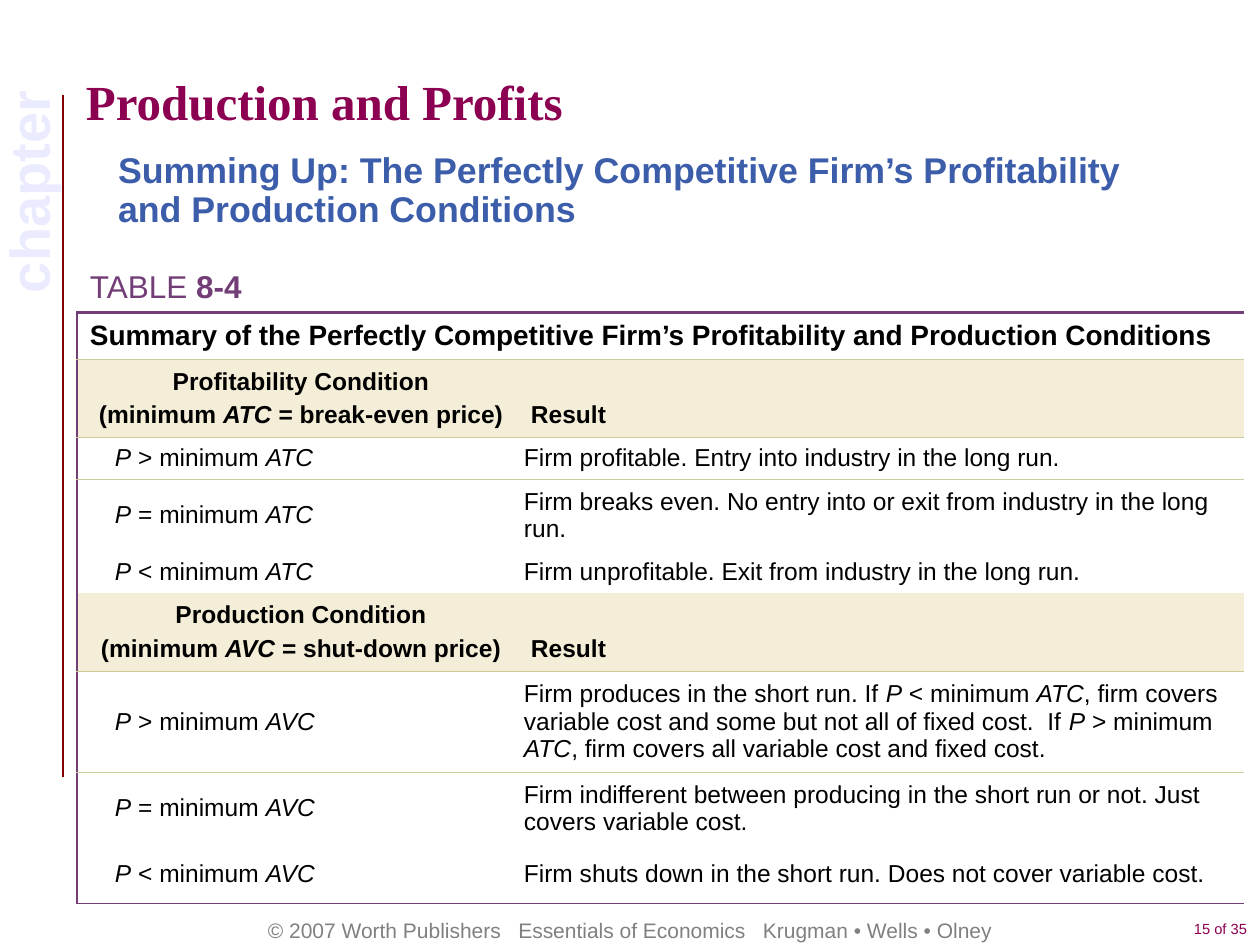
"""Build the slide on production and profits with its summary table."""
from lxml import etree
from pptx import Presentation
from pptx import util as u
from pptx.dml.color import RGBColor
from pptx.enum import shapes, text
from pptx.oxml import ns

MAROON = RGBColor(0x80, 0x00, 0x00)
WINE = RGBColor(0x8C, 0x00, 0x51)
BLUE = RGBColor(0x3C, 0x5D, 0xAA)
PURPLE = RGBColor(0x73, 0x3D, 0x77)
LILAC = RGBColor(0xEB, 0xEB, 0xFF)
GRAY = RGBColor(0x80, 0x80, 0x80)
CREAM = RGBColor(0xF4, 0xEE, 0xD8)
OLIVE = RGBColor(0xCB, 0xCC, 0x99)
BLACK = RGBColor(0, 0, 0)
WHITE = RGBColor(0xFF, 0xFF, 0xFF)

MID, TOP, BOTTOM = text.MSO_ANCHOR.MIDDLE, text.MSO_ANCHOR.TOP, text.MSO_ANCHOR.BOTTOM
LEFT, CENTER, RIGHT = text.PP_ALIGN.LEFT, text.PP_ALIGN.CENTER, text.PP_ALIGN.RIGHT
INSET = (13, 6, 13, 6)
NO_STYLE = "{2D5ABB26-0587-4C30-8999-92F81FD0307C}"

BOXES = {
    "chapter": dict(text="chapter", at=(-40, 79, 135, 214), size=32, color=LILAC, bold=True,
                    inset=(0, 0, 0, 0), turned=True),
    "footer": dict(text="© 2007 Worth Publishers   Essentials of Economics   Krugman • Wells • Olney",
                   at=(32, 914, 1197, 32), size=12, color=GRAY, align=CENTER),
    "page": dict(text="15 of 35", at=(1155, 914, 105, 32), size=8.4, color=WINE,
                 align=RIGHT, spacing=0.8),
    "title": dict(text="Production and Profits", at=(73, 10, 1187, 126), size=28, color=WINE,
                  bold=True, font="Times New Roman", anchor=BOTTOM, panel=True),
    "subtitle": dict(text="Summing Up: The Perfectly Competitive Firm’s Profitability "
                          "and Production Conditions",
                     at=(105, 147, 1050, 105), size=20.4, color=BLUE, bold=True,
                     anchor=TOP, spacing=0.9),
}

TABLE_AT = (77, 262)
COLS = (441, 30, 695)
ROWS = [
    ("number", 50, "TABLE *8-4*", None),
    ("caption", 47, "Summary of the Perfectly Competitive Firm’s Profitability and Production Conditions", None),
    ("head", 78, "Profitability Condition\n(minimum *ATC* = break-even price)", "Result"),
    ("case", 42, "*P* > minimum *ATC*", "Firm profitable. Entry into industry in the long run."),
    ("case", 72, "*P* = minimum *ATC*",
     "Firm breaks even. No entry into or exit from industry in the long run."),
    ("case", 42, "*P* < minimum *ATC*", "Firm unprofitable. Exit from industry in the long run."),
    ("head", 78, "Production Condition\n(minimum *AVC* = shut-down price)", "Result"),
    ("case", 101, "*P* > minimum *AVC*",
     "Firm produces in the short run. If *P* < minimum *ATC*, firm covers variable cost and some "
     "but not all of fixed cost.  If *P* > minimum *ATC*, firm covers all variable cost and fixed cost."),
    ("case", 72, "*P* = minimum *AVC*",
     "Firm indifferent between producing in the short run or not. Just covers variable cost."),
    ("case", 59, "*P* < minimum *AVC*",
     "Firm shuts down in the short run. Does not cover variable cost."),
]
CELL = {
    "number": [dict(size=18, color=PURPLE, mark="bold")],
    "caption": [dict(size=16, bold=True)],
    "head": [dict(size=14, bold=True, align=CENTER, inset=(13, 6, 6, 6)),
             dict(size=14, bold=True, anchor=BOTTOM, inset=(13, 6, 6, 9))],
    "case": [dict(size=14, inset=(38, 6, 6, 6)), dict(size=14, inset=(6, 6, 6, 6))],
}
MERGE = {"number": (0, 1), "caption": (0, 2), "head": (1, 2), "case": (1, 2)}
RULES = {0: (PURPLE, 1.47), 1: (OLIVE, 0.45), 2: (OLIVE, 0.45),
         6: (OLIVE, 0.45), 9: (PURPLE, 0.45)}


def px(n):
    return u.Emu(round(n * 914400 / 126))


def write(tf, content, size, color=BLACK, bold=False, font="Arial", align=LEFT,
          spacing=None, mark="italic"):
    for i, line in enumerate(content.split("\n")):
        p = tf.paragraphs[0] if i == 0 else tf.add_paragraph()
        p.alignment = align
        if spacing:
            p.line_spacing = spacing
        if i:
            p.space_before = u.Pt(3.6)
        for j, part in enumerate(line.split("*")):
            if part:
                r = p.add_run()
                r.text = part
                r.font.color.rgb = color
                look = dict(name=font, size=u.Pt(size), bold=bold)
                if j % 2:
                    look[mark] = True
                for key, value in look.items():
                    setattr(r.font, key, value)


def place(target, inset, anchor):
    sides = ("margin_left", "margin_top", "margin_right", "margin_bottom")
    for key, value in zip(sides, inset):
        setattr(target, key, px(value))
    target.vertical_anchor = anchor


def add_box(s, at, inset=INSET, anchor=MID, panel=False, turned=False, **fmt):
    at = [px(n) for n in at]
    if panel:
        sp = s.shapes.add_shape(shapes.MSO_SHAPE.RECTANGLE, *at)
        sp.shadow.inherit = False
        sp.fill.solid()
        sp.fill.fore_color.rgb = WHITE
        clr = next(sp._element.spPr.iter(ns.qn("a:srgbClr")))
        etree.SubElement(clr, ns.qn("a:alpha"), val="30000")
        sp.line.fill.background()
    else:
        sp = s.shapes.add_textbox(*at)
    tf = sp.text_frame
    tf.word_wrap = True
    place(tf, inset, anchor)
    if turned:
        sp.rotation = 180
        tf._txBody.bodyPr.set("vert", "eaVert")
    write(tf, fmt.pop("text"), **fmt)


def border(cell, side, color, width):
    ln = etree.SubElement(cell._tc.get_or_add_tcPr(), ns.qn("a:ln" + side), w=str(u.Pt(width)))
    fill = etree.SubElement(ln, ns.qn("a:solidFill"))
    etree.SubElement(fill, ns.qn("a:srgbClr"), val=str(color))


def add_summary(s):
    size = sum(COLS), sum(row[1] for row in ROWS)
    frame = s.shapes.add_table(len(ROWS), len(COLS), *(px(n) for n in TABLE_AT + size))
    tbl = frame.table
    tbl.first_row = tbl.horz_banding = False
    tbl._tbl.tblPr.find(ns.qn("a:tableStyleId")).text = NO_STYLE
    for col, width in zip(tbl.columns, COLS):
        col.width = px(width)
    for i, (kind, height, *words) in enumerate(ROWS):
        tbl.rows[i].height = px(height)
        first, last = MERGE[kind]
        tbl.cell(i, first).merge(tbl.cell(i, last))
        for j in range(len(COLS)):
            cell = tbl.cell(i, j)
            if i and j == 0:
                border(cell, "L", PURPLE, 1.08)
            if i - 1 in RULES:
                border(cell, "T", *RULES[i - 1])
            if i in RULES:
                border(cell, "B", *RULES[i])
            if kind == "head":
                cell.fill.solid()
                cell.fill.fore_color.rgb = CREAM
            else:
                cell.fill.background()
        for j, (content, fmt) in enumerate(zip(words, CELL[kind])):
            fmt = dict(fmt)
            cell = tbl.cell(i, j)
            place(cell, fmt.pop("inset", INSET), fmt.pop("anchor", MID))
            write(cell.text_frame, content, **fmt)


def main():
    prs = Presentation()
    prs.slide_width, prs.slide_height = px(1260), px(945)
    s = prs.slides.add_slide(prs.slide_layouts[6])
    rule = s.shapes.add_connector(shapes.MSO_CONNECTOR.STRAIGHT, px(63), px(95), px(63), px(777))
    rule.line.color.rgb = MAROON
    rule.line.width = u.Pt(1.5)
    etree.SubElement(rule._element.spPr, ns.qn("a:effectLst"))
    for box in BOXES.values():
        add_box(s, **box)
    add_summary(s)
    prs.save("out.pptx")


if __name__ == "__main__":
    main()
